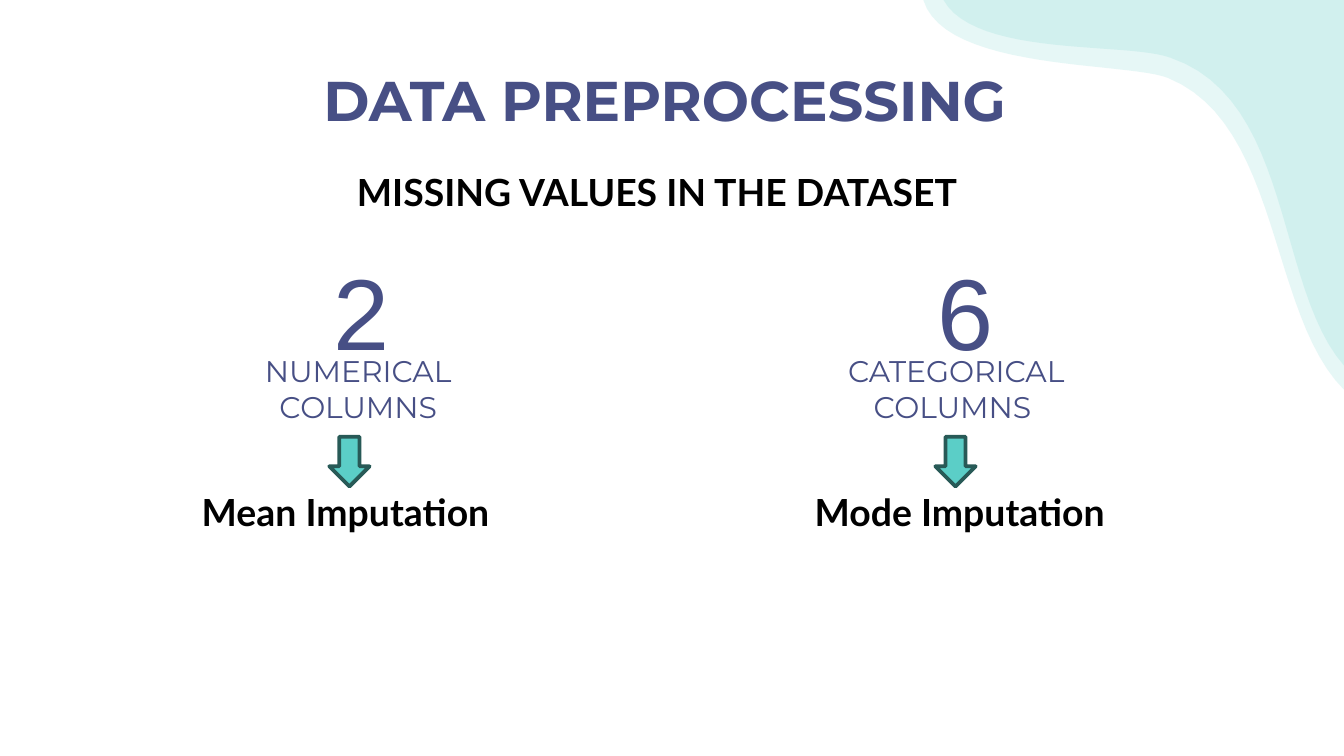
from lxml.etree import SubElement
from pptx import Presentation
from pptx.dml.color import RGBColor
from pptx.enum.shapes import MSO_SHAPE
from pptx.enum.text import MSO_ANCHOR, MSO_AUTO_SIZE, PP_ALIGN
from pptx.oxml.ns import qn
from pptx.util import Pt

PX = 9144  # EMU per px, 100 px to the inch
SLIDE_WIDTH = 1000
INDIGO = RGBColor(0x47, 0x4F, 0x85)
TEAL = RGBColor(0x5B, 0xCE, 0xC7)
DARK_TEAL = RGBColor(0x28, 0x5A, 0x57)
BLACK = RGBColor(0, 0, 0)
WHITE = RGBColor(255, 255, 255)

# Corner waves: start point, then Bezier segments (two controls and an end)
OUTER_WAVE = [(687, 0), (703, 53), (838, 46), (869, 58), (953, 92), (944, 234), (1000, 290)]
INNER_WAVE = [(702, 0), (726, 43), (839, 31), (871, 43), (962, 74), (949, 214), (1000, 272)]

# The parts of a column are placed by their offset from its left edge
COLUMNS = [
    {"left": 142, "count": "2", "count_dx": 96, "caption": "NUMERICAL COLUMNS",
     "caption_dx": 27, "arrow_dx": 103, "method": "Mean Imputation "},
    {"left": 599, "count": "6", "count_dx": 89, "caption": "CATEGORICAL COLUMNS ",
     "caption_dx": 15, "arrow_dx": 97, "method": "Mode Imputation "},
]


def emu(*lengths):
    return [round(length * PX) for length in lengths]


def write(frame, text, font, size, color, bold=False, inset=True,
          anchor=MSO_ANCHOR.TOP, grow=False, space_after=0):
    frame.word_wrap = True
    frame.auto_size = MSO_AUTO_SIZE.SHAPE_TO_FIT_TEXT if grow else MSO_AUTO_SIZE.NONE
    frame.vertical_anchor = anchor
    if not inset:
        frame.margin_left = frame.margin_right = 0
        frame.margin_top = frame.margin_bottom = 0
    frame.text = text
    paragraph = frame.paragraphs[0]
    paragraph.alignment = PP_ALIGN.CENTER
    paragraph.space_before = Pt(0)
    paragraph.space_after = Pt(space_after)
    style = paragraph.runs[0].font
    style.name, style.size, style.bold = font, Pt(size), bold
    style.color.rgb = color


def add_text(slide, box, text, *style, **options):
    write(slide.shapes.add_textbox(*emu(*box)).text_frame, text, *style, **options)


def bezier(start, control1, control2, end, steps=24):
    for step in range(1, steps + 1):
        t = step / steps
        weights = ((1 - t) ** 3, 3 * t * (1 - t) ** 2, 3 * t * t * (1 - t), t ** 3)
        corners = (start, control1, control2, end)
        yield tuple(sum(w * p[axis] for w, p in zip(weights, corners)) for axis in (0, 1))


def add_wave(slide, nodes, right):
    outline = [nodes[0]]
    for first in range(0, len(nodes) - 1, 3):
        outline += bezier(*nodes[first:first + 4])
    outline.append((right, 0))
    points = [emu(*point) for point in outline]
    builder = slide.shapes.build_freeform(*points[0], scale=1.0)
    builder.add_line_segments(points[1:], close=True)
    wave = builder.convert_to_shape()
    wave.shadow.inherit = False
    wave.line.fill.background()
    wave.fill.solid()
    wave.fill.fore_color.rgb = TEAL
    # 15% opacity
    color = wave.fill._xPr.find(qn("a:solidFill"))[0]
    SubElement(color, qn("a:alpha")).set("val", "15000")


def add_heading(slide, left, top, width):
    title = slide.shapes.title
    title.left, title.top, title.width, title.height = emu(left, top, width, 52)
    write(title.text_frame, "DATA PREPROCESSING ", "Montserrat", 30, INDIGO,
          bold=True, inset=False)


def add_column(slide, top, column):
    left = column["left"]
    # Imputation method
    add_text(slide, (left, top + 183, 237, 52), column["method"], "Lato", 20, BLACK,
             bold=True, inset=False, space_after=16)
    # Caption
    add_text(slide, (left + column["caption_dx"], top + 88, 195, 40), column["caption"],
             "Montserrat", 16, INDIGO, inset=False, anchor=MSO_ANCHOR.MIDDLE)
    # Arrow from caption to method
    arrow = slide.shapes.add_shape(
        MSO_SHAPE.DOWN_ARROW, *emu(left + column["arrow_dx"], top + 144, 30, 37))
    arrow.shadow.inherit = False
    arrow.fill.solid()
    arrow.fill.fore_color.rgb = TEAL
    arrow.line.color.rgb = DARK_TEAL
    arrow.line.width = Pt(2)
    # Number of columns
    add_text(slide, (left + column["count_dx"], top, 45, 101), column["count"],
             "Arial", 54, INDIGO, grow=True)


def main():
    deck = Presentation()
    deck.slide_width = SLIDE_WIDTH * PX
    deck.slide_height = deck.slide_width * 9 // 16
    slide = deck.slides.add_slide(deck.slide_layouts[5])
    slide.background.fill.solid()
    slide.background.fill.fore_color.rgb = WHITE

    for nodes in (OUTER_WAVE, INNER_WAVE):
        add_wave(slide, nodes, right=SLIDE_WIDTH)
    add_heading(slide, 79, 49, 843)
    add_text(slide, (142, 121, 694, 44), "MISSING VALUES IN THE DATASET", "Lato", 20,
             BLACK, bold=True, grow=True, space_after=16)
    for column in COLUMNS:
        add_column(slide, 181, column)

    deck.save("out.pptx")


if __name__ == "__main__":
    main()
